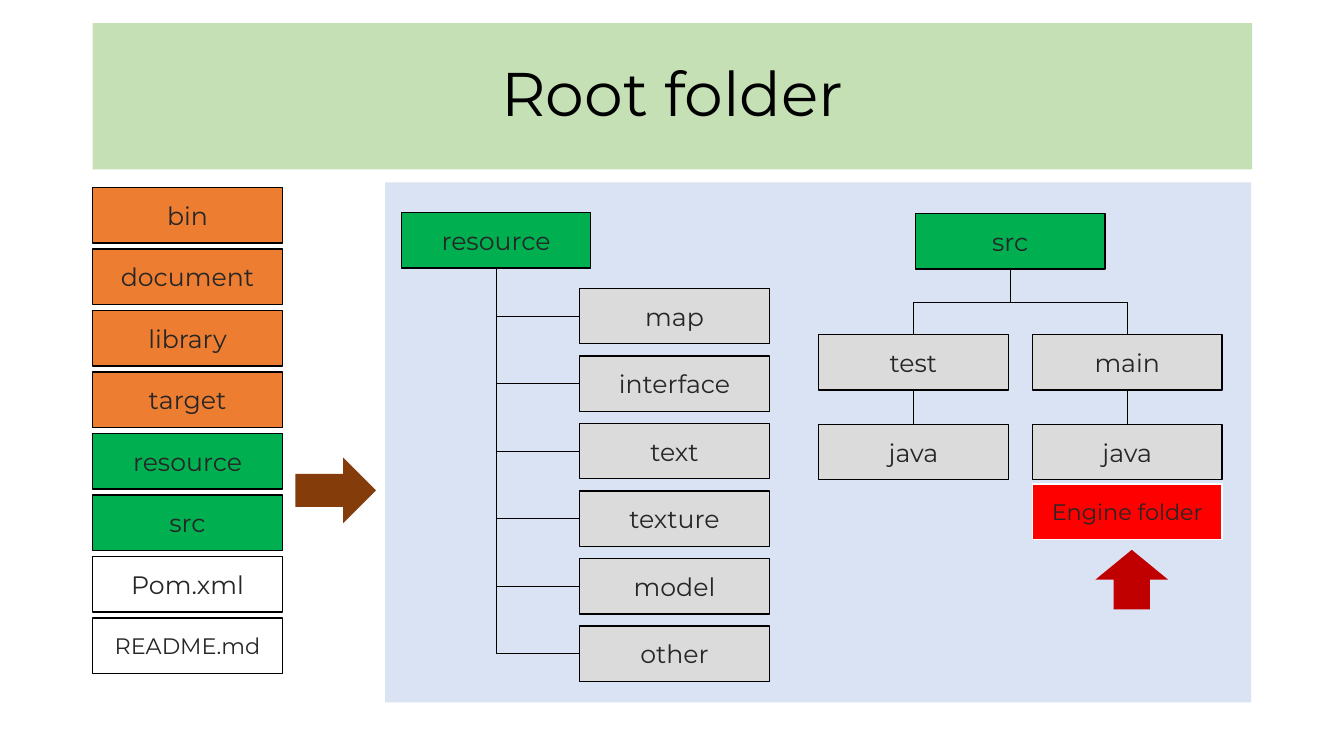
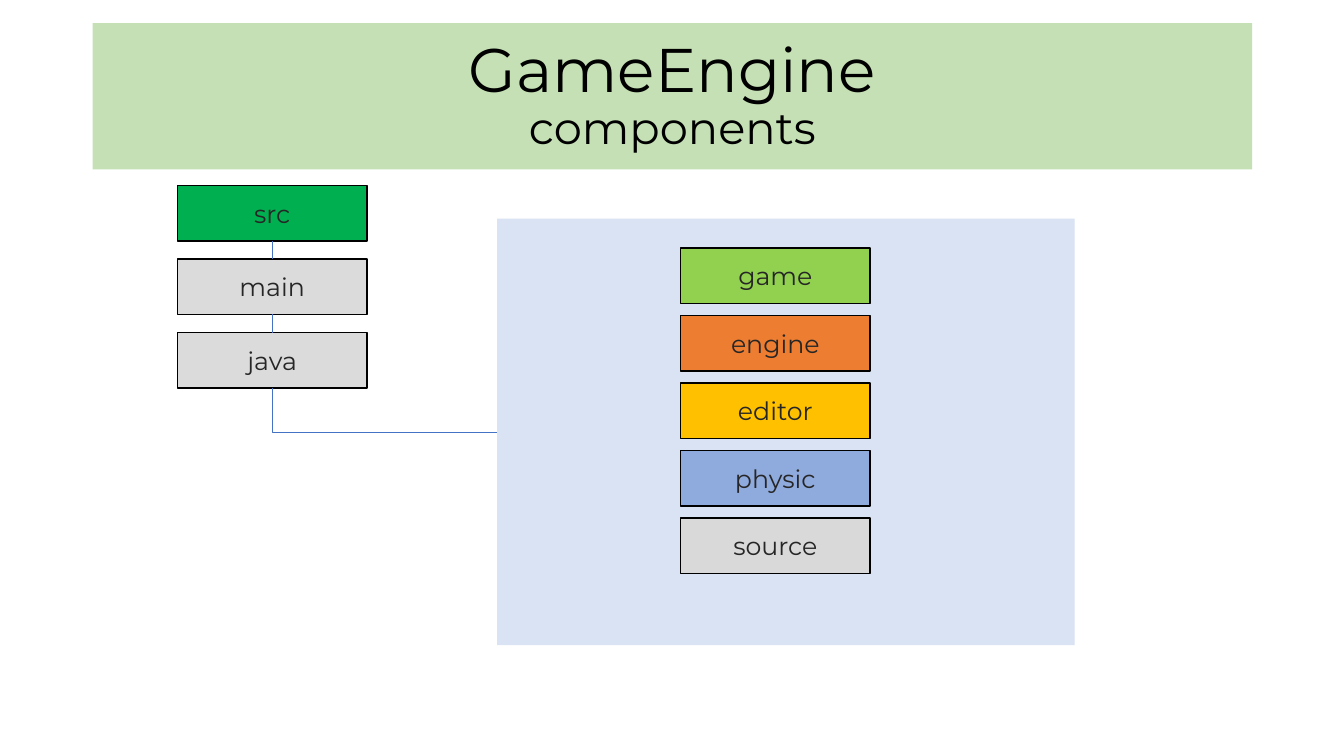
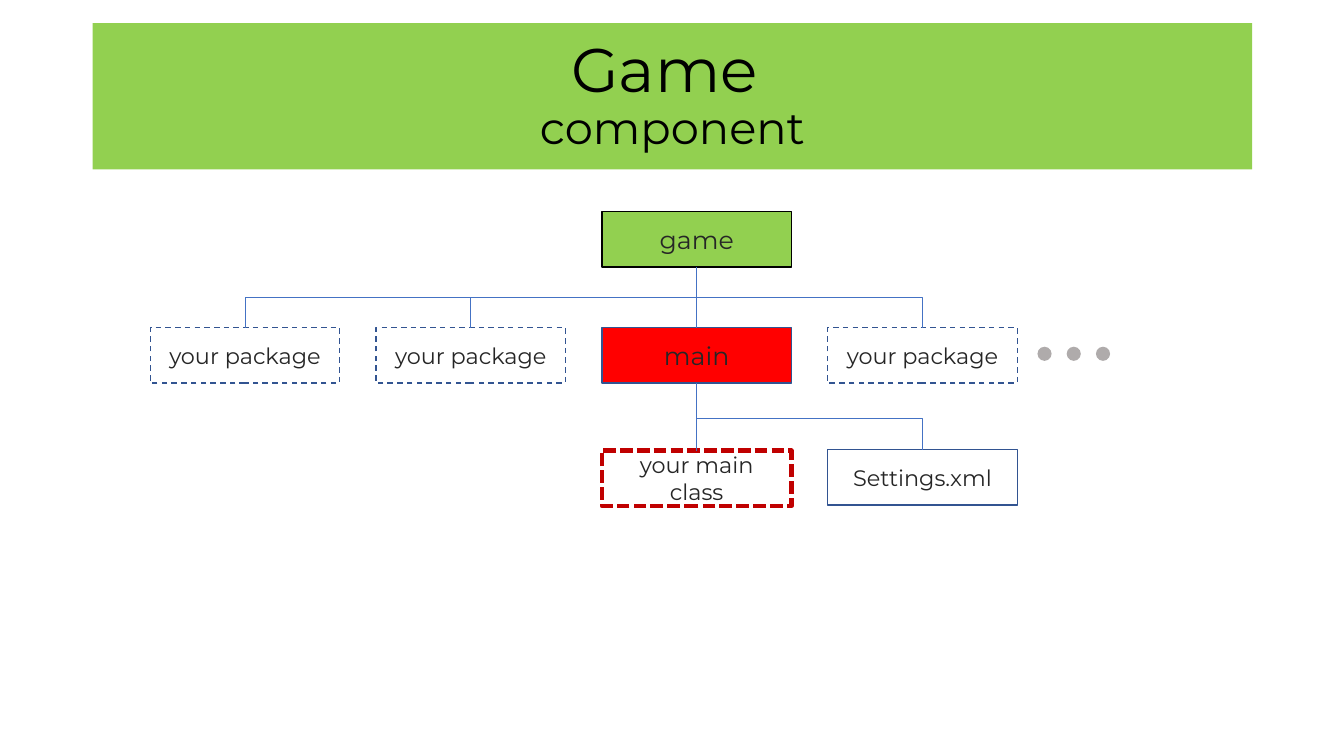
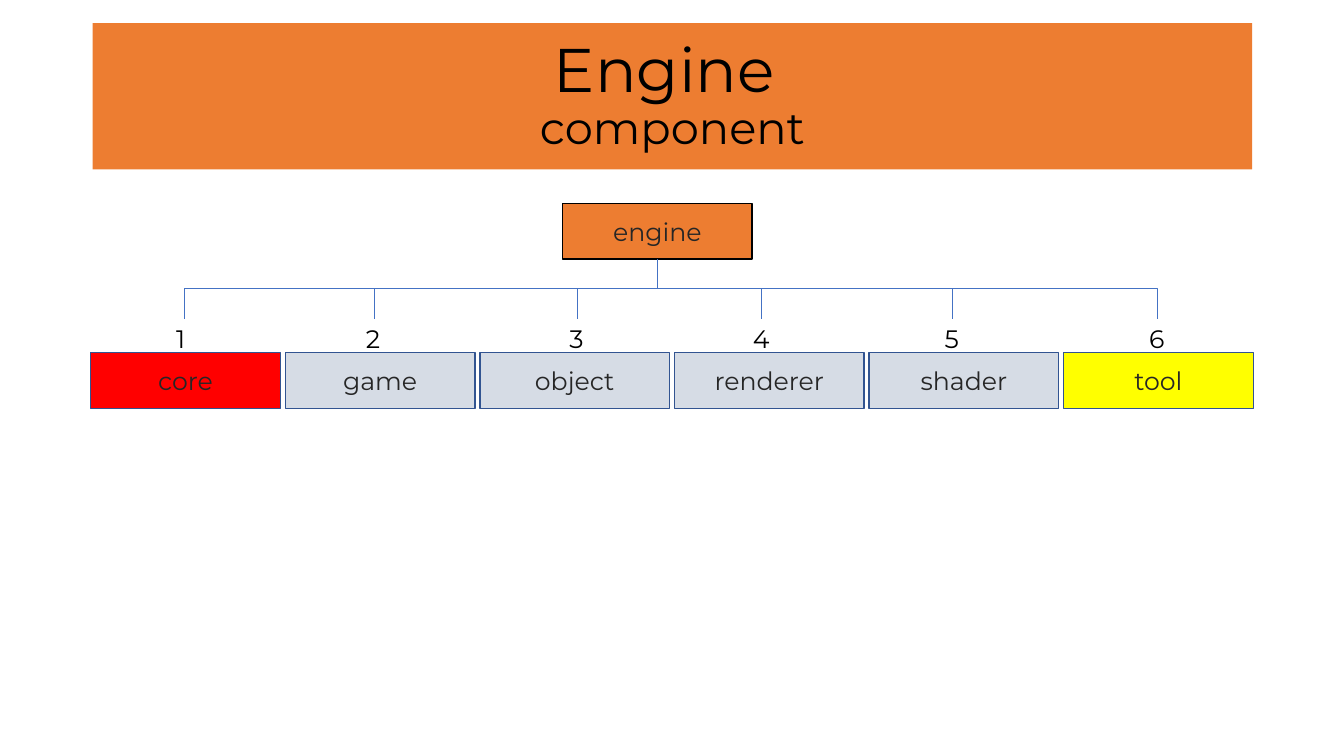
from dataclasses import dataclass
from typing import Optional

from pptx import Presentation
from pptx.dml.color import RGBColor
from pptx.enum.dml import MSO_LINE
from pptx.enum.shapes import MSO_CONNECTOR as Link, MSO_SHAPE as Preset
from pptx.enum.text import MSO_ANCHOR, MSO_AUTO_SIZE, PP_ALIGN
from pptx.oxml.ns import qn
from pptx.oxml.xmlchemy import OxmlElement
from pptx.util import Inches, Pt

# Shared look
FONT = "Montserrat"
BLACK, WHITE, INK = "000000", "FFFFFF", "262626"
ORANGE, GREEN, LIME, RED = "ED7D31", "00B050", "92D050", "FF0000"
GREY, PALE_BLUE, PALE_GREEN = "DBDBDB", "DAE3F3", "C5E0B4"
NAVY, BLUE, DARK_RED = "325491", "4472C4", "C00000"
BOX_WIDTH, BOX_HEIGHT = 1.88, 0.55
Point = tuple[float, float]


@dataclass(frozen=True)
class Box:
    """A labelled node of a folder tree."""
    label: str
    left: float
    top: float
    fill: Optional[str] = GREY
    line: str = BLACK
    size: int = 18
    weight: float = 1
    dash: Optional[MSO_LINE] = None

    @property
    def top_middle(self) -> Point:
        return self.left + BOX_WIDTH / 2, self.top

    @property
    def bottom_middle(self) -> Point:
        return self.left + BOX_WIDTH / 2, self.top + BOX_HEIGHT

    @property
    def left_middle(self) -> Point:
        return self.left, self.top + BOX_HEIGHT / 2


def color(value: str) -> RGBColor:
    return RGBColor.from_string(value)


def add_span(para, text: str, size: float, ink: str) -> None:
    span = para.add_run()
    span.text = text
    span.font.name, span.font.size = FONT, Pt(size)
    span.font.color.rgb = color(ink)


def add_block(page, preset: Preset, left: float, top: float, width: float,
              height: float, fill: Optional[str]):
    """Draw a flat shape without an outline."""
    shape = page.shapes.add_shape(preset, Inches(left), Inches(top), Inches(width), Inches(height))
    shape.shadow.inherit = False
    shape.line.fill.background()
    if fill:
        shape.fill.solid()
        shape.fill.fore_color.rgb = color(fill)
    else:
        shape.fill.background()
    return shape


def centre_para(shape):
    shape.text_frame.word_wrap = True
    shape.text_frame.vertical_anchor = MSO_ANCHOR.MIDDLE
    para = shape.text_frame.paragraphs[0]
    para.alignment = PP_ALIGN.CENTER
    return para


def add_box(page, box: Box) -> None:
    shape = add_block(page, Preset.RECTANGLE, box.left, box.top, BOX_WIDTH, BOX_HEIGHT, box.fill)
    shape.line.color.rgb = color(box.line)
    shape.line.width = Pt(box.weight)
    if box.dash:
        shape.line.dash_style = box.dash
    add_span(centre_para(shape), box.label, box.size, INK)


def add_boxes(page, boxes: list[Box]) -> None:
    for box in boxes:
        add_box(page, box)


def add_title(page, fill: str, title: str, subtitle: str = "") -> None:
    band = add_block(page, Preset.RECTANGLE, 0.92, 0.23, 11.5, 1.45, fill)
    para = centre_para(band)
    para.line_spacing = 0.9
    add_span(para, title, 44, BLACK)
    if subtitle:
        para.add_line_break()
        add_span(para, subtitle, 32, BLACK)


# Connectors
def add_link(page, start: Point, end: Point, ink: str, kind: Link = Link.STRAIGHT):
    link = page.shapes.add_connector(kind, *map(Inches, (*start, *end)))
    link.line.color.rgb = color(ink)
    link.line.width = Pt(0.5)
    link._element.spPr.append(OxmlElement("a:effectLst"))
    return link


def make_corner(link) -> None:
    """Give an elbow a single bend."""
    link._element.spPr.find(qn("a:prstGeom")).set("prst", "bentConnector2")


def add_drop(page, start: Point, end: Point, ink: str, corner: bool = False) -> None:
    """Draw an elbow that leaves downwards: a level one turned about its centre."""
    (x1, y1), (x2, y2) = start, end
    middle_x, middle_y = (x1 + x2) / 2, (y1 + y2) / 2
    half_width, half_height = (y2 - y1) / 2, abs(x2 - x1) / 2
    rightward = x2 > x1
    if rightward:
        half_width = -half_width
    link = add_link(page, (middle_x - half_width, middle_y - half_height),
                    (middle_x + half_width, middle_y + half_height), ink, Link.ELBOW)
    link._element.spPr.find(qn("a:xfrm")).set("rot", str((270 if rightward else 90) * 60000))
    if corner:
        make_corner(link)


# Slides
def build_root_folder(page) -> None:
    add_block(page, Preset.RECTANGLE, 3.82, 1.81, 8.59, 5.16, PALE_BLUE)
    add_title(page, PALE_GREEN, "Root folder")

    # Folder list
    entries = [("bin", ORANGE), ("document", ORANGE), ("library", ORANGE), ("target", ORANGE),
               ("resource", GREEN), ("src", GREEN), ("Pom.xml", None), ("README.md", None)]
    add_boxes(page, [Box(label, 0.92, 1.86 + 0.61 * row, fill,
                         size=16 if label == "README.md" else 18)
                     for row, (label, fill) in enumerate(entries)])

    # Resource tree
    resource = Box("resource", 3.98, 2.11, GREEN)
    names = ["map", "interface", "text", "texture", "model", "other"]
    children = [Box(name, 5.75, 2.86 + 0.67 * row) for row, name in enumerate(names)]
    add_boxes(page, [resource, *children])
    for child in children:
        add_drop(page, resource.bottom_middle, child.left_middle, BLACK, corner=True)

    # Source tree
    source = Box("src", 9.08, 2.12, GREEN)
    add_box(page, source)
    for name, left in (("test", 8.12), ("main", 10.24)):
        branch, java = Box(name, left, 3.32), Box("java", left, 4.21)
        add_boxes(page, [branch, java])
        add_drop(page, source.bottom_middle, branch.top_middle, BLACK)
        add_link(page, branch.bottom_middle, java.top_middle, BLACK)
    add_box(page, Box("Engine folder", 10.24, 4.8, RED, WHITE, 16))

    # Arrows
    add_block(page, Preset.RIGHT_ARROW, 2.93, 4.54, 0.8, 0.65, "843C0B")
    add_block(page, Preset.RIGHT_ARROW, 10.93, 5.39, 0.59, 0.72, DARK_RED).rotation = 270


def build_components(page) -> None:
    add_block(page, Preset.RECTANGLE, 4.93, 2.17, 5.73, 4.23, PALE_BLUE)
    add_title(page, PALE_GREEN, "GameEngine", "components")

    # Component list
    components = [("game", LIME), ("engine", ORANGE), ("editor", "FFC000"),
                  ("physic", "8FAADC"), ("source", "D9D9D9")]
    add_boxes(page, [Box(label, 6.75, 2.46 + 0.67 * row, fill)
                     for row, (label, fill) in enumerate(components)])

    # Folder chain
    folders = [("src", GREEN), ("main", GREY), ("java", GREY)]
    chain = [Box(label, 1.76, 1.84 + 0.73 * row, fill)
             for row, (label, fill) in enumerate(folders)]
    add_boxes(page, chain)
    for upper, lower in zip(chain, chain[1:]):
        add_link(page, upper.bottom_middle, lower.top_middle, BLUE)
    add_drop(page, chain[-1].bottom_middle, (4.93, 4.29), BLUE, corner=True)


def build_game(page) -> None:
    add_title(page, LIME, "Game ", "component")

    # Packages
    lefts = [1.49 + 2.24 * column for column in range(4)]
    main_left, last_left = lefts[2:]
    game = Box("game", main_left, 2.1, LIME)
    main_box = Box("main", main_left, 3.25, RED, NAVY)
    packages = [Box("your package", left, 3.25, None, NAVY, 16, dash=MSO_LINE.DASH)
                for left in lefts if left != main_left]

    # Contents of main
    main_class = Box("your main class", main_left, 4.47, None, DARK_RED, 16, 3,
                     MSO_LINE.SQUARE_DOT)
    settings = Box("Settings.xml", last_left, 4.46, WHITE, NAVY, 16)
    add_boxes(page, [game, main_box, *packages, main_class, settings])

    # Links
    for upper, lower in ((game, main_box), (main_box, main_class)):
        add_link(page, upper.bottom_middle, lower.top_middle, BLUE)
    for package_box in packages:
        add_drop(page, game.bottom_middle, package_box.top_middle, BLUE)
    fork = (main_box.bottom_middle[0], 4.15)
    make_corner(add_link(page, fork, settings.top_middle, BLUE, Link.ELBOW))

    # Dots for further packages
    for column in range(3):
        add_block(page, Preset.OVAL, 10.29 + 0.29 * column, 3.44, 0.14, 0.14, "AFABAB")


def build_engine(page) -> None:
    add_title(page, ORANGE, "Engine ", "component")
    engine = Box("engine", 5.58, 2.02, ORANGE)
    add_box(page, engine)

    # Numbered parts
    parts = [("core", RED, 1.65), ("game", "D6DCE5", 3.53), ("object", "D6DCE5", 5.55),
             ("renderer", "D6DCE5", 7.37), ("shader", "D6DCE5", 9.27), ("tool", "FFFF00", 11.3)]
    for column, (label, fill, number_left) in enumerate(parts):
        add_box(page, Box(label, 0.9 + 1.93 * column, 3.5, fill, NAVY))
        number = page.shapes.add_textbox(*map(Inches, (number_left, 3.16, 0.36, 0.4)))
        number.text_frame.word_wrap = True
        number.text_frame.auto_size = MSO_AUTO_SIZE.SHAPE_TO_FIT_TEXT
        add_span(number.text_frame.paragraphs[0], str(column + 1), 18, BLACK)
        add_drop(page, engine.bottom_middle, (number_left + 0.18, 3.16), BLUE)


def main() -> None:
    deck = Presentation()
    deck.slide_width, deck.slide_height = Inches(13.33), Inches(7.5)
    for build in (build_root_folder, build_components, build_game, build_engine):
        build(deck.slides.add_slide(deck.slide_layouts[6]))
    deck.save("out.pptx")


if __name__ == "__main__":
    main()
